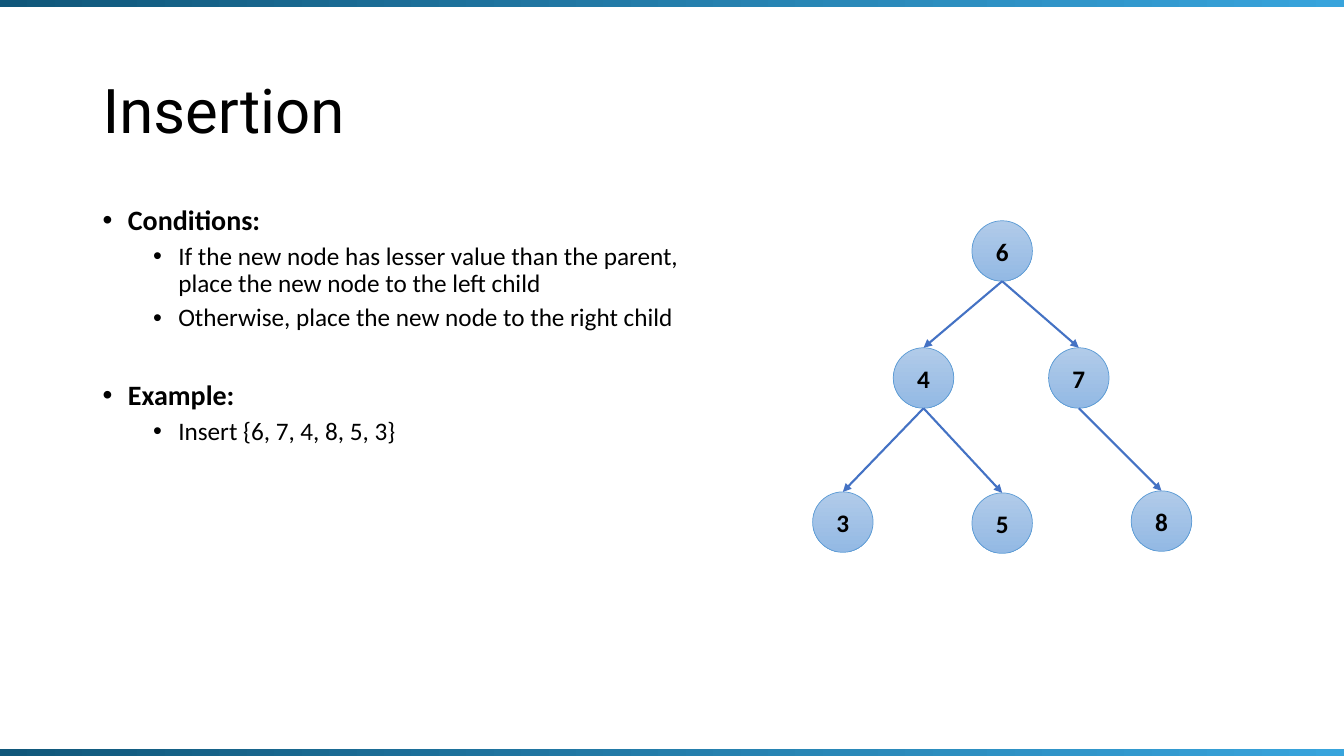
import pptx
import pptx.dml.color
import pptx.enum.shapes
import pptx.enum.text
import pptx.oxml.ns
import pptx.util
from lxml import etree

Inches, Pt = pptx.util.Inches, pptx.util.Pt
RGB = pptx.dml.color.RGBColor.from_string
qn = pptx.oxml.ns.qn
SHAPES = pptx.enum.shapes.MSO_SHAPE
ANCHOR = pptx.enum.text.MSO_ANCHOR

COLORS = {
    "text": "000000",
    "bar_start": "10577A", "bar_end": "38A4DC",
    "node_top": "B1CBE9", "node_bottom": "93B9E4",
    "node_line": "5B9BD5", "edge": "4472C4",
}


def style_text(paragraph, size, font="Calibri", bold=False):
    """Format every run of a paragraph."""
    for run in paragraph.runs:
        run.font.name = font
        run.font.size = Pt(size)
        run.font.bold = bold
        run.font.color.rgb = RGB(COLORS["text"])


def add_gradient_shape(kind, left, top, width, height, start, end, angle):
    """Add a shape filled with a two-colour linear gradient."""
    shape = slide.shapes.add_shape(
        kind, Inches(left), Inches(top), Inches(width), Inches(height))
    shape.shadow.inherit = False
    shape.fill.gradient()
    shape.fill.gradient_angle = angle
    for stop, color in zip(shape.fill.gradient_stops, (start, end)):
        stop.color.rgb = RGB(COLORS[color])
    return shape


prs = pptx.Presentation()
prs.slide_width, prs.slide_height = Inches(13.33), Inches(7.5)
slide = prs.slides.add_slide(prs.slide_layouts[6])

# Bars along the top and bottom edges
for bar_top in (0, 7.43):
    bar = add_gradient_shape(SHAPES.RECTANGLE, 0, bar_top, 13.33, 0.07,
                             "bar_start", "bar_end", 0)
    bar.line.fill.background()

# Title
title = slide.shapes.add_textbox(
    Inches(0.92), Inches(0.4), Inches(11.5), Inches(1.45)).text_frame
title.word_wrap = True
title.vertical_anchor = ANCHOR.MIDDLE
title.text = "Insertion"
title.paragraphs[0].line_spacing = 0.9
style_text(title.paragraphs[0], 44, "Roboto")

# Conditions and example: level, space before in points, text
bullets = [
    (0, 10, "Conditions:"),
    (1, 5, "If the new node has lesser value than the parent, "
           "place the new node to the left child"),
    (1, 5, "Otherwise, place the new node to the right child"),
    (0, 35, "Example:"),
    (1, 5, "Insert {6, 7, 4, 8, 5, 3}"),
]
body = slide.shapes.add_textbox(
    Inches(0.92), Inches(2), Inches(6.01), Inches(4.76)).text_frame
body.word_wrap = True
body.text = "\n".join(text for _, _, text in bullets)
for paragraph, (level, space_before, _) in zip(body.paragraphs, bullets):
    paragraph.level = level
    paragraph.line_spacing = 0.9
    paragraph.space_before = Pt(space_before)
    style_text(paragraph, 18 if level else 20, bold=level == 0)
    properties = paragraph._p.get_or_add_pPr()
    properties.set("marL", str(Inches(0.25 + 0.5 * level)))
    properties.set("indent", str(Inches(-0.25)))
    etree.SubElement(properties, qn("a:buFont")).set("typeface", "Arial")
    etree.SubElement(properties, qn("a:buChar")).set("char", "•")

# Tree nodes: centre x and top of each value
DIAMETER = 0.6
nodes = {
    6: (9.94, 2.19),
    4: (9.16, 3.45), 7: (10.7, 3.45),
    3: (8.36, 4.88), 5: (9.94, 4.89), 8: (11.52, 4.87),
}
for value, (center, top) in nodes.items():
    node = add_gradient_shape(
        SHAPES.OVAL, center - DIAMETER / 2, top, DIAMETER, DIAMETER,
        "node_top", "node_bottom", 270)
    node.line.color.rgb = RGB(COLORS["node_line"])
    node.line.width = Pt(0.5)
    node.text_frame.text = str(value)
    node.text_frame.vertical_anchor = ANCHOR.MIDDLE
    label = node.text_frame.paragraphs[0]
    label.alignment = pptx.enum.text.PP_ALIGN.CENTER
    style_text(label, 18, bold=True)

# Arrows from the bottom of each parent to the top of its child
for parent, child in [(6, 4), (6, 7), (4, 3), (4, 5), (7, 8)]:
    parent_x, parent_top = nodes[parent]
    child_x, child_top = nodes[child]
    edge = slide.shapes.add_connector(
        pptx.enum.shapes.MSO_CONNECTOR.STRAIGHT,
        Inches(parent_x), Inches(parent_top + DIAMETER),
        Inches(child_x), Inches(child_top))
    edge.line.color.rgb = RGB(COLORS["edge"])
    edge.line.width = Pt(1.5)
    arrowhead = etree.SubElement(edge.line._get_or_add_ln(), qn("a:tailEnd"))
    arrowhead.set("type", "triangle")
    etree.SubElement(edge._element.spPr, qn("a:effectLst"))

prs.save("out.pptx")
